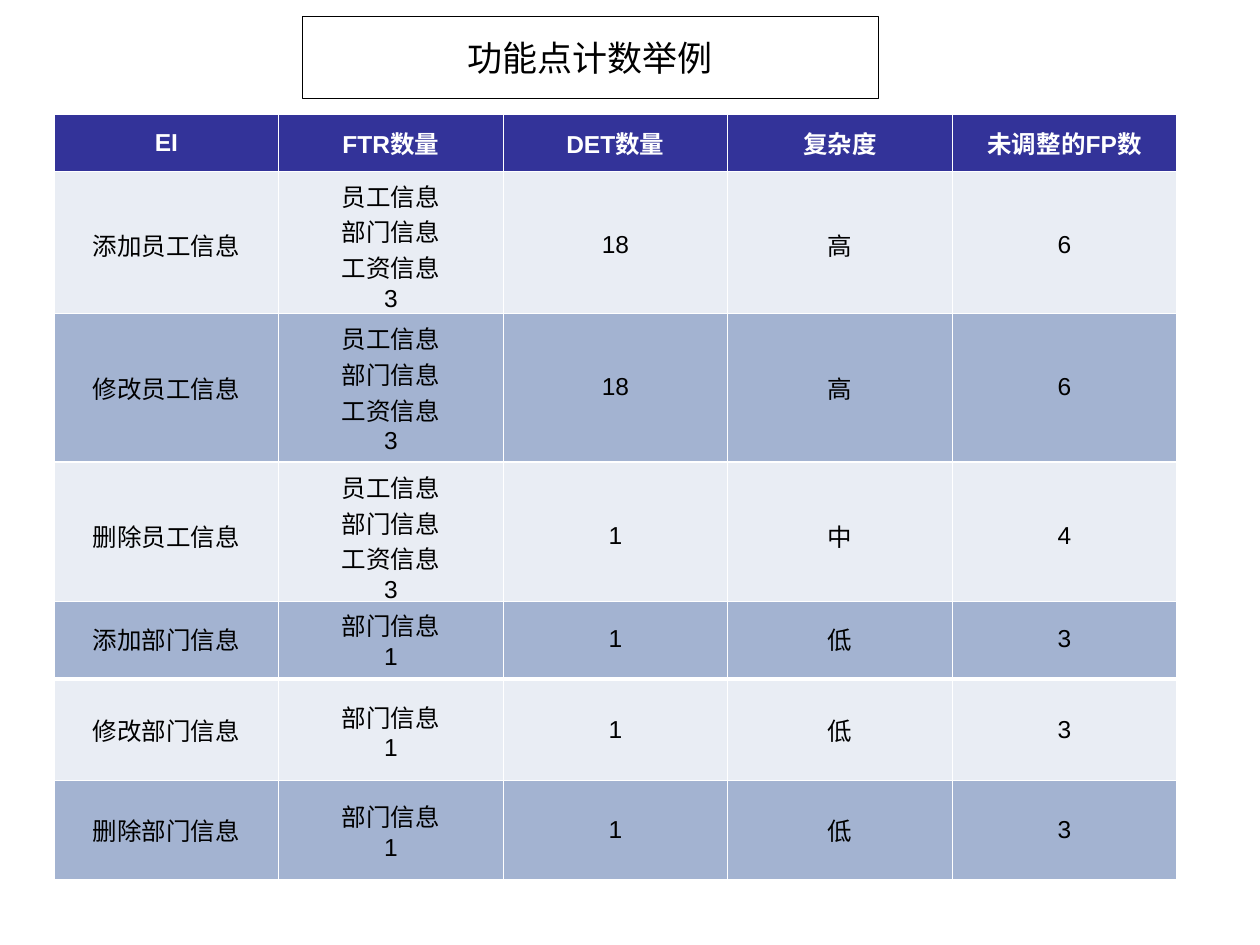
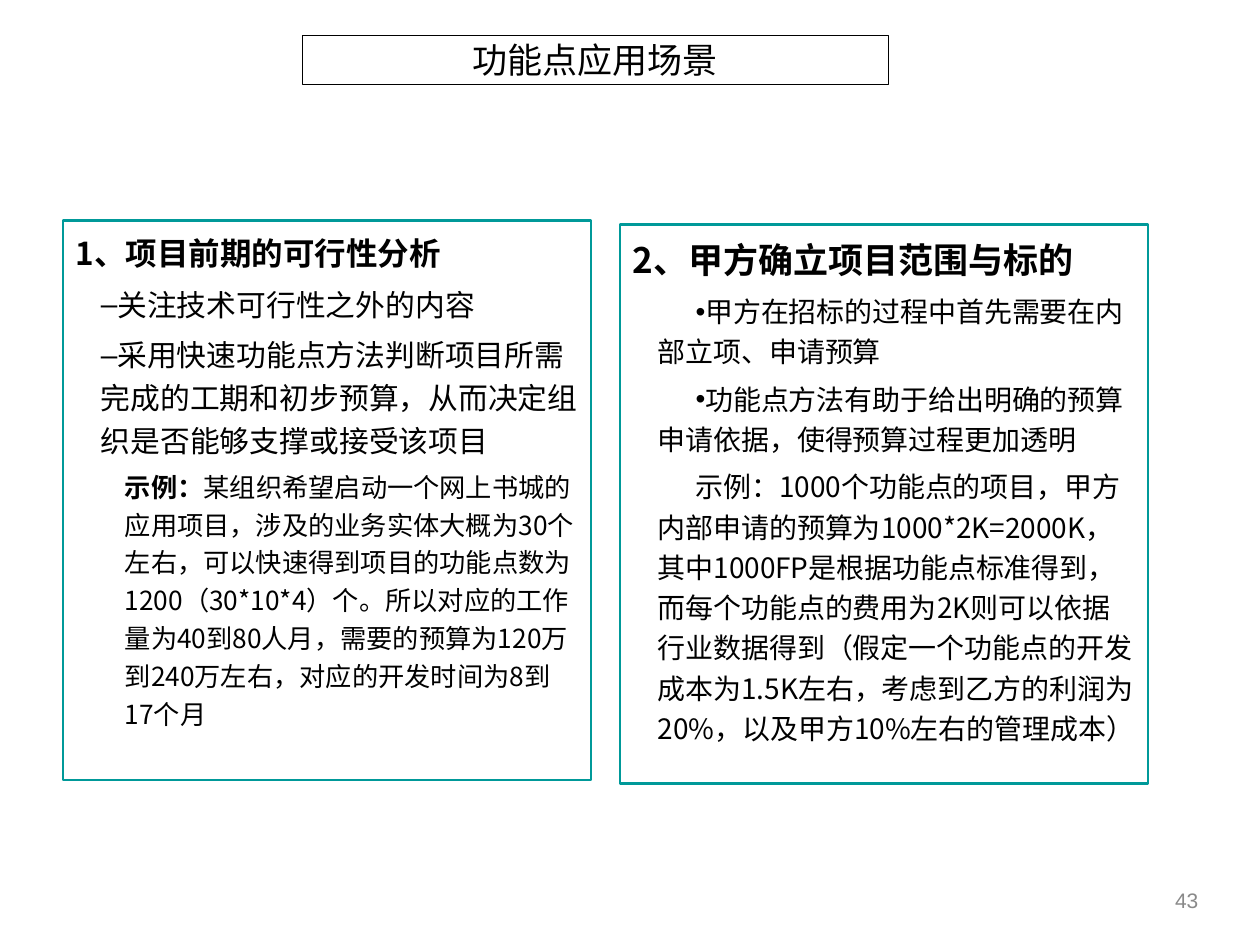
"""Build two slides on function point counting and its uses."""
from dataclasses import dataclass

from lxml import etree
from pptx import Presentation
from pptx.dml.color import RGBColor
from pptx.enum.text import MSO_ANCHOR, MSO_AUTO_SIZE, PP_ALIGN
from pptx.oxml.ns import qn
from pptx.util import Inches, Pt

CENTER, RIGHT = PP_ALIGN.CENTER, PP_ALIGN.RIGHT
TOP, MIDDLE = MSO_ANCHOR.TOP, MSO_ANCHOR.MIDDLE
NO_FIT = MSO_AUTO_SIZE.NONE


@dataclass(frozen=True)
class Theme:
    latin: str = "Arial"
    chinese: str = "Noto Sans CJK SC"
    ink: str = "000000"
    paper: str = "FFFFFF"
    header: str = "333399"
    bands: tuple = ("E9EDF4", "A3B3D1")
    frame: str = "009999"
    muted: str = "898989"
    title_size: int = 20
    cell_size: int = 14
    number_size: int = 12
    title_line: float = 0.75
    frame_line: float = 1.5
    grid_line: float = 0.45
    line_spacing: float = 1.2


THEME = Theme()
SLIDE_SIZE = (10, 7.5)

COUNTING_TITLE = ("功能点计数举例", (2.4, 0.13, 4.57, 0.65))
HEADINGS = ("EI", "FTR数量", "DET数量", "复杂度", "未调整的FP数")
HEADER_HEIGHT = 0.45
GRID_LEFT, GRID_WIDTH = 0.43, 8.91
EMPLOYEE_FILES = ("员工信息", "部门信息", "工资信息")
DEPARTMENT_FILES = ("部门信息",)
INPUTS = [
    ("添加员工信息", EMPLOYEE_FILES, 18, "高", 6),
    ("修改员工信息", EMPLOYEE_FILES, 18, "高", 6),
    ("删除员工信息", EMPLOYEE_FILES, 1, "中", 4),
    ("添加部门信息", DEPARTMENT_FILES, 1, "低", 3),
    ("修改部门信息", DEPARTMENT_FILES, 1, "低", 3),
    ("删除部门信息", DEPARTMENT_FILES, 1, "低", 3),
]
INPUT_PLACES = [(0.91, 1.17), (2.49, 1.17), (3.67, 1.17), (4.77, 0.57), (5.4, 0.79), (6.19, 0.79)]

SCENARIO_TITLE = ("功能点应用场景", (2.4, 0.28, 4.65, 0.39))
PANEL_SIZE = (4.19, 4.44)
FEASIBILITY_STYLES = {
    "heading": dict(level=0, size=18, bold=True),
    "point": dict(level=1, size=17, before=4.2, margin=0.2, bullet="–"),
    "example": dict(level=2, size=15, before=3.7, margin=0.39),
}
SCOPE_STYLES = {
    "heading": dict(level=0, size=20, bold=True),
    "point": dict(level=2, size=16, before=4, margin=0.2, indent=0.3, bullet="•"),
    "example": dict(level=3, size=16, before=4, margin=0.2, indent=0.3),
}
FEASIBILITY = [
    ("heading", "", "1、项目前期的可行性分析"),
    ("point", "", "关注技术可行性之外的内容"),
    ("point", "", "采用快速功能点方法判断项目所需完成的工期和初步预算，从而决定组织是否能够支撑或接受该项目"),
    ("example", "示例：", "某组织希望启动一个网上书城的应用项目，涉及的业务实体大概为30个左右，"
     "可以快速得到项目的功能点数为1200（30*10*4）个。所以对应的工作量为40到80人月，"
     "需要的预算为120万到240万左右，对应的开发时间为8到17个月"),
]
SCOPE = [
    ("heading", "", "2、甲方确立项目范围与标的"),
    ("point", "", "甲方在招标的过程中首先需要在内部立项、申请预算"),
    ("point", "", "功能点方法有助于给出明确的预算申请依据，使得预算过程更加透明"),
    ("example", "", "示例：1000个功能点的项目，甲方内部申请的预算为1000*2K=2000K，"
     "其中1000FP是根据功能点标准得到，而每个功能点的费用为2K则可以依据行业数据得到"
     "（假定一个功能点的开发成本为1.5K左右，考虑到乙方的利润为20%，以及甲方10%左右的管理成本）"),
]
PANELS = [
    (1, (0.5, 1.75), FEASIBILITY, FEASIBILITY_STYLES),
    (2, (4.92, 1.78), SCOPE, SCOPE_STYLES),
]
PAGE_NUMBER = ("43", (7.28, 6.88, 2.33, 0.52))


def rgb(color):
    return RGBColor.from_string(color)


def place(shape, box):
    shape.left, shape.top, shape.width, shape.height = map(Inches, box)


def paint(target, color):
    target.fill.solid()
    target.fill.fore_color.rgb = rgb(color)


def outline(shape, color, width):
    shape.line.color.rgb = rgb(color)
    shape.line.width = Pt(width)


def set_font(paragraph, size, color=THEME.ink, latin=THEME.chinese, bold=False):
    font = paragraph.font
    font.size, font.bold, font.name = Pt(size), bold, latin
    font.color.rgb = rgb(color)
    defaults = paragraph._p.pPr.find(qn("a:defRPr"))
    etree.SubElement(defaults, qn("a:ea"), typeface=THEME.chinese)


def set_frame(shape, anchor):
    frame = shape.text_frame
    frame.word_wrap, frame.auto_size, frame.vertical_anchor = True, NO_FIT, anchor
    return frame


def add_title_slide(deck, layout, title):
    text, box = title
    slide = deck.slides.add_slide(deck.slide_layouts.get_by_name(layout))
    heading = slide.shapes.title
    place(heading, box)
    paint(heading, THEME.paper)
    outline(heading, THEME.ink, THEME.title_line)
    paragraph = set_frame(heading, MIDDLE).paragraphs[0]
    paragraph.text = text
    paragraph.alignment = CENTER
    set_font(paragraph, THEME.title_size)
    return slide


def fill_cell(cell, text, background, color=THEME.ink, bold=False):
    properties = cell._tc.get_or_add_tcPr()
    for side in ("lnL", "lnR", "lnT", "lnB"):
        border = etree.SubElement(properties, qn(f"a:{side}"), w=str(Pt(THEME.grid_line)))
        solid = etree.SubElement(border, qn("a:solidFill"))
        etree.SubElement(solid, qn("a:srgbClr"), val=THEME.paper)
    paint(cell, background)
    cell.vertical_anchor = MIDDLE
    cell.text = text
    for paragraph in cell.text_frame.paragraphs:
        paragraph.alignment = CENTER
        set_font(paragraph, THEME.cell_size, color, THEME.latin, bold)


def add_input(slide, index, entry):
    name, files, elements, complexity, points = entry
    top, height = INPUT_PLACES[index]
    heights = [HEADER_HEIGHT, height] if index == 0 else [height]
    grid = slide.shapes.add_table(
        len(heights), len(HEADINGS), Inches(GRID_LEFT), Inches(top),
        Inches(GRID_WIDTH), Inches(sum(heights))).table
    grid.first_row = grid.horz_banding = False
    for row, row_height in zip(grid.rows, heights):
        row.height = Inches(row_height)
    if index == 0:
        for cell, heading in zip(grid.rows[0].cells, HEADINGS):
            fill_cell(cell, heading, THEME.header, THEME.paper, bold=True)
    values = (name, "\n".join([*files, str(len(files))]), str(elements), complexity, str(points))
    for cell, value in zip(grid.rows[len(heights) - 1].cells, values):
        fill_cell(cell, value, THEME.bands[index % 2])


def write_point(paragraph, lead, text, level, size, before=0, margin=0, indent=0,
                bullet=None, bold=False):
    paragraph.level = level
    properties = paragraph._p.get_or_add_pPr()
    properties.set("marL", str(Inches(margin)))
    properties.set("indent", str(Inches(indent)))
    if bullet:
        etree.SubElement(properties, qn("a:buChar"), char=bullet)
    else:
        etree.SubElement(properties, qn("a:buNone"))
    paragraph.line_spacing = THEME.line_spacing
    paragraph.space_before = Pt(before)
    set_font(paragraph, size, bold=bold)
    if lead:
        lead_run = paragraph.add_run()
        lead_run.text = lead
        lead_run.font.bold = True
    paragraph.add_run().text = text


def fill_panel(panel, corner, points, styles):
    place(panel, corner + PANEL_SIZE)
    outline(panel, THEME.frame, THEME.frame_line)
    frame = set_frame(panel, TOP)
    for index, (kind, lead, text) in enumerate(points):
        paragraph = frame.add_paragraph() if index else frame.paragraphs[0]
        write_point(paragraph, lead, text, **styles[kind])


def add_page_number(slide):
    text, box = PAGE_NUMBER
    number = slide.shapes.add_textbox(*map(Inches, box))
    paragraph = set_frame(number, MIDDLE).paragraphs[0]
    paragraph.text = text
    paragraph.alignment = RIGHT
    set_font(paragraph, THEME.number_size, THEME.muted, THEME.latin)


def main():
    deck = Presentation()
    deck.slide_width, deck.slide_height = map(Inches, SLIDE_SIZE)

    counting = add_title_slide(deck, "Title Only", COUNTING_TITLE)
    for index, entry in enumerate(INPUTS):
        add_input(counting, index, entry)

    scenarios = add_title_slide(deck, "Two Content", SCENARIO_TITLE)
    for holder, corner, points, styles in PANELS:
        fill_panel(scenarios.placeholders[holder], corner, points, styles)
    paint(scenarios.placeholders[1], THEME.paper)
    add_page_number(scenarios)

    deck.save("out.pptx")


if __name__ == "__main__":
    main()
